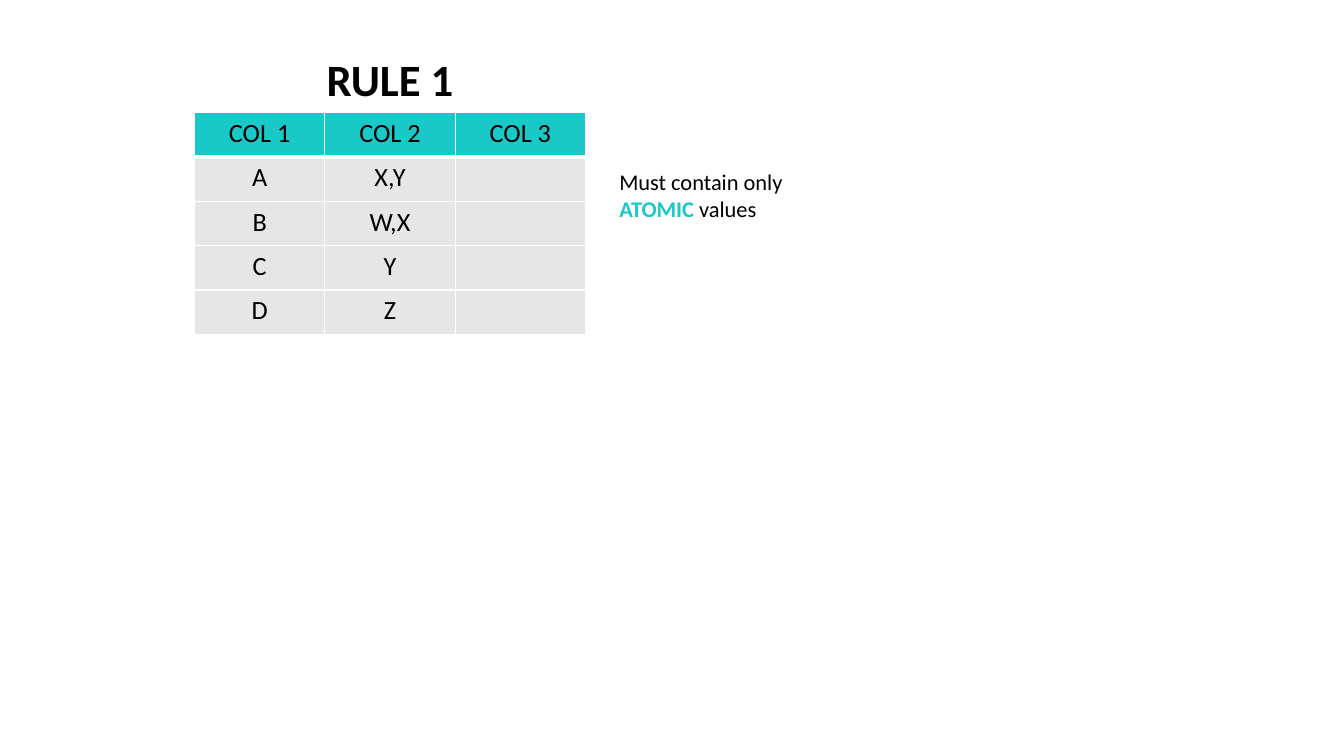
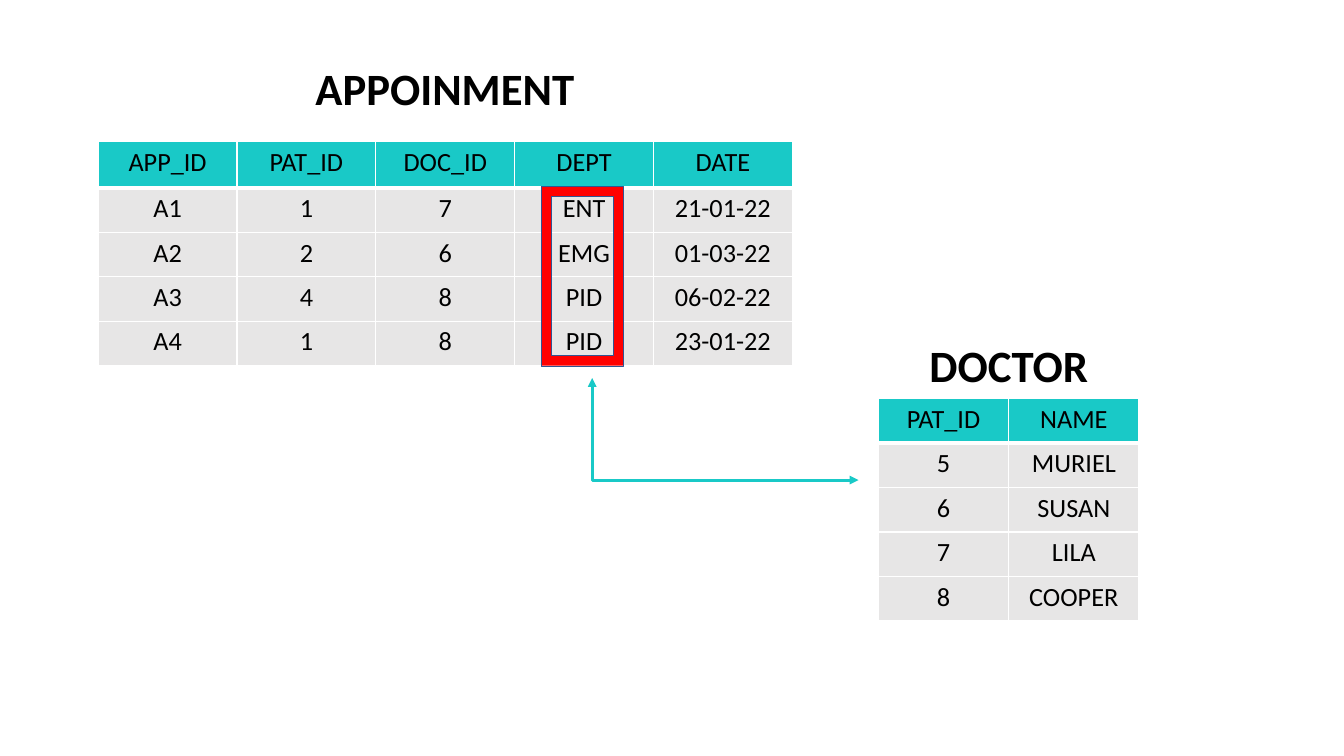
from lxml import etree
from pptx import Presentation
from pptx.dml.color import RGBColor
from pptx.enum import shapes, text
from pptx.oxml import ns, parse_xml
from pptx.util import Inches, Pt

FONT = "Calibri"
BLACK, WHITE, TEAL, GREY = "000000", "FFFFFF", "19C9C7", "E7E6E6"
RED, NAVY = "FF0000", "325491"
TITLE_ONLY = 5

prs = Presentation()
prs.slide_width, prs.slide_height = Inches(14.23), Inches(8)


def color(hex_code):
    return RGBColor.from_string(hex_code)


def style(paragraph, size, align=text.PP_ALIGN.CENTER, bold=False):
    paragraph.alignment = align
    font = paragraph.font
    font.name, font.size, font.bold = FONT, Pt(size), bold
    font.color.rgb = color(BLACK)


# Slide data: headings as (text, left, top, width), the first being the title;
# tables as (left, top, column width, header height, rows).
slides_content = [
    ([("RULE 1", 3.14, 0.5, 1.98)],
     [(2.06, 1.19, 1.38, 0.47, [
         ("COL 1", "COL 2", "COL 3"),
         ("A", "X,Y", ""),
         ("B", "W,X", ""),
         ("C", "Y", ""),
         ("D", "Z", "")])]),
    ([("APPOINMENT", 3.13, 0.59, 3.16), ("DOCTOR", 9.69, 3.53, 1.98)],
     [(9.3, 4.22, 1.38, 0.47, [
         ("PAT_ID", "NAME"),
         ("5", "MURIEL"),
         ("6", "SUSAN"),
         ("7", "LILA"),
         ("8", "COOPER")]),
      (1.04, 1.5, 1.47, 0.49, [
         ("APP_ID", "PAT_ID", "DOC_ID", "DEPT", "DATE"),
         ("A1", "1", "7", "ENT", "21-01-22"),
         ("A2", "2", "6", "EMG", "01-03-22"),
         ("A3", "4", "8", "PID", "06-02-22"),
         ("A4", "1", "8", "PID", "23-01-22")])]),
]
ROW_HEIGHT = 0.47

for headings, tables in slides_content:
    slide = prs.slides.add_slide(prs.slide_layouts[TITLE_ONLY])

    for i, (wording, left, top, width) in enumerate(headings):
        heading = slide.shapes.title if i == 0 else slide.shapes.add_textbox(0, 0, 0, 0)
        heading.left, heading.top = Inches(left), Inches(top)
        heading.width, heading.height = Inches(width), Inches(0.68)
        frame = heading.text_frame
        frame.text = wording
        frame.word_wrap = True
        frame.auto_size = text.MSO_AUTO_SIZE.NONE
        frame.vertical_anchor = text.MSO_ANCHOR.TOP
        style(frame.paragraphs[0], 34.1, bold=True)

    for left, top, col_width, header_height, rows in tables:
        columns = len(rows[0])
        table = slide.shapes.add_table(
            len(rows), columns, Inches(left), Inches(top), Inches(col_width * columns),
            Inches(header_height + ROW_HEIGHT * (len(rows) - 1))).table
        table.horz_banding = False
        for column in table.columns:
            column.width = Inches(col_width)
        for r, values in enumerate(rows):
            table.rows[r].height = Inches(ROW_HEIGHT if r else header_height)
            for c, value in enumerate(values):
                cell = table.cell(r, c)
                cell.text = value
                style(cell.text_frame.paragraphs[0], 20)
                borders = cell._tc.get_or_add_tcPr()
                for side in ("L", "R", "T", "B"):
                    weight = 3 if r == 0 and side == "B" else 1
                    borders.append(parse_xml(
                        f'<a:ln{side} {ns.nsdecls("a")} w="{Pt(weight)}"><a:solidFill>'
                        f'<a:srgbClr val="{WHITE}"/></a:solidFill></a:ln{side}>'))
                cell.fill.solid()
                cell.fill.fore_color.rgb = color(GREY if r else TEAL)

rule_slide, join_slide = prs.slides

# Explanation beside the rule table
note = rule_slide.shapes.add_textbox(Inches(6.46), Inches(1.73), Inches(1.97), Inches(0.68))
note.text_frame.word_wrap = True
sentence = note.text_frame.paragraphs[0]
style(sentence, 17.1, text.PP_ALIGN.LEFT)
for wording in ("Must contain only ", "ATOMIC ", "values"):
    run = sentence.add_run()
    run.text = wording
    if wording == "ATOMIC ":
        run.font.bold = True
        run.font.color.rgb = color(TEAL)

# Frame around the department values
dept_frame = join_slide.shapes.add_shape(
    shapes.MSO_SHAPE.FRAME, Inches(5.73), Inches(1.97), Inches(0.87), Inches(1.9))
dept_frame.rotation = 180
dept_frame.shadow.inherit = False
dept_frame.fill.solid()
dept_frame.fill.fore_color.rgb = color(RED)
dept_frame.line.color.rgb = color(NAVY)
dept_frame.line.width = Pt(0.25)

# Two-headed elbow from the departments down to the doctors
link = join_slide.shapes.add_connector(
    shapes.MSO_CONNECTOR.ELBOW, Inches(6.27), Inches(4), Inches(9.09), Inches(5.08))
link.line.color.rgb = color(TEAL)
link.line.width = Pt(2.25)
link_line = link.line._get_or_add_ln()
for end in ("a:headEnd", "a:tailEnd"):
    etree.SubElement(link_line, ns.qn(end), type="triangle")
link_properties = link._element.spPr
etree.SubElement(link_properties, ns.qn("a:effectLst"))
geometry = link_properties.find(ns.qn("a:prstGeom"))
adjustments = geometry.find(ns.qn("a:avLst"))
if adjustments is None:
    adjustments = etree.SubElement(geometry, ns.qn("a:avLst"))
etree.SubElement(adjustments, ns.qn("a:gd"), name="adj1", fmla="val 0")

prs.save("out.pptx")
